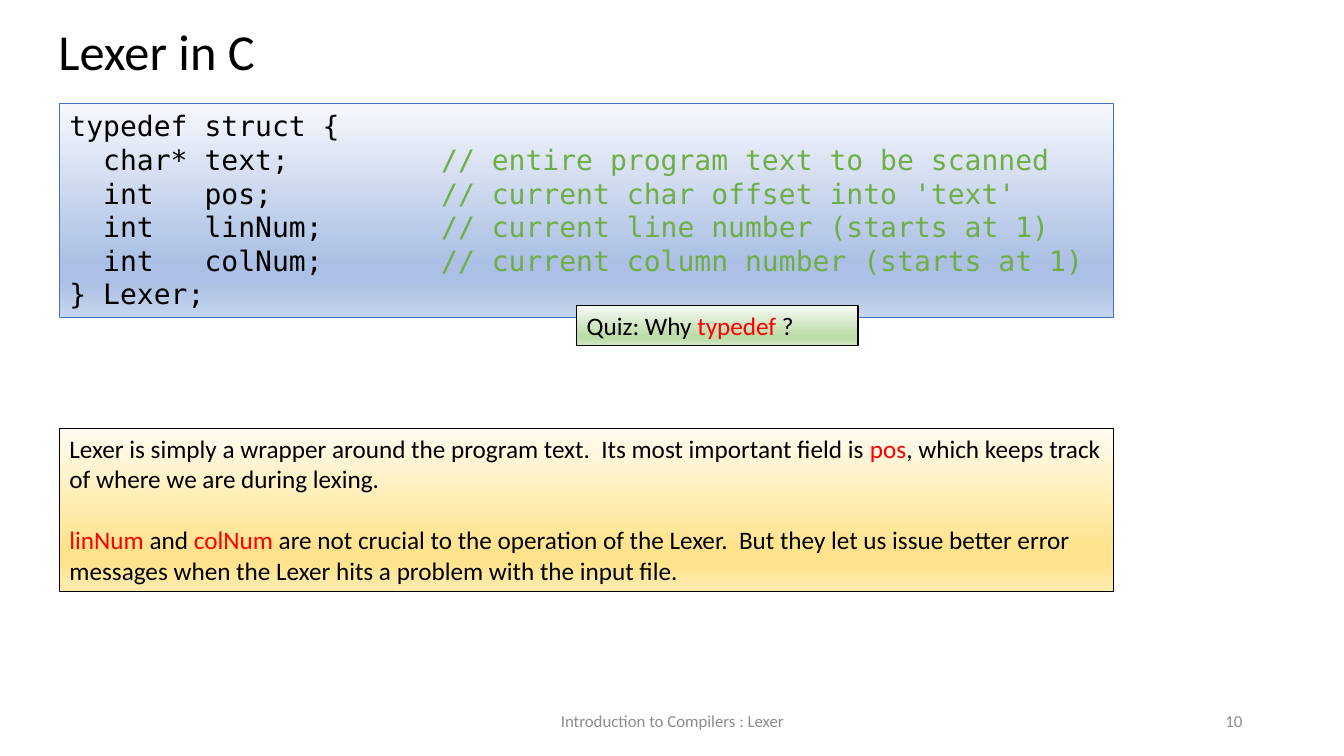
from dataclasses import dataclass

from lxml.etree import SubElement
from pptx import Presentation
from pptx.dml.color import RGBColor
from pptx.enum.shapes import MSO_SHAPE as Shape
from pptx.enum.text import MSO_ANCHOR as Anchor, MSO_AUTO_SIZE as AutoSize, PP_ALIGN as Align
from pptx.oxml.ns import qn
from pptx.util import Inches, Pt


@dataclass(frozen=True)
class Theme:
    body_font: str = "Calibri"
    code_font: str = "DejaVu Sans Mono"
    title_size: int = 36
    code_size: int = 20
    body_size: int = 18
    footer_size: int = 12
    black: str = "000000"
    grey: str = "8C8C8C"
    red: str = "FF0000"
    comment: str = "70AD47"
    code_line: str = "4472C4"
    # Gradient colours from top to bottom: light, full, soft
    blue: tuple = ("F6F8FC", "ABC0E4", "C7D5ED")
    green: tuple = ("F8FBF6", "BEDCAA", "D4E8C6")
    yellow: tuple = ("FFFCF2", "FFE38C", "FFECB2")


THEME = Theme()

FIELDS = [
    ("char* text;", "entire program text to be scanned"),
    ("int   pos;", "current char offset into 'text'"),
    ("int   linNum;", "current line number (starts at 1)"),
    ("int   colNum;", "current column number (starts at 1)"),
]
COMMENT_COLUMN = 20


def write_paragraphs(text_frame, paragraphs, font_name, size):
    """Fill a frame; each paragraph is a list of (text, colour) runs."""
    for index, runs in enumerate(paragraphs):
        paragraph = text_frame.add_paragraph() if index else text_frame.paragraphs[0]
        paragraph.alignment = Align.LEFT
        for text, colour in runs:
            run = paragraph.add_run()
            run.text = text
            run.font.name = font_name
            run.font.size = Pt(size)
            run.font.color.rgb = RGBColor.from_string(colour)


def add_label(slide, box, text, size, colour, alignment=Align.LEFT):
    label = slide.shapes.add_textbox(*map(Inches, box))
    text_frame = label.text_frame
    text_frame.word_wrap = True
    text_frame.vertical_anchor = Anchor.MIDDLE
    write_paragraphs(text_frame, [[(text, colour)]], THEME.body_font, size)
    text_frame.paragraphs[0].alignment = alignment
    return text_frame


def fill_gradient(shape, colours):
    light, full, soft = colours
    shape.fill.gradient()
    shape.fill.gradient_angle = 270
    stops = shape._element.spPr.find(qn("a:gradFill")).find(qn("a:gsLst"))
    for stop in list(stops):
        stops.remove(stop)
    for percent, colour in ((0, light), (74, full), (83, full), (100, soft)):
        stop = SubElement(stops, qn("a:gs"), pos=str(percent * 1000))
        SubElement(stop, qn("a:srgbClr"), val=colour)


def add_panel(slide, box, colours, line_colour, paragraphs, font_name, size):
    panel = slide.shapes.add_shape(Shape.RECTANGLE, *map(Inches, box))
    panel.shadow.inherit = False
    fill_gradient(panel, colours)
    panel.line.color.rgb = RGBColor.from_string(line_colour)
    panel.line.width = Pt(0.75)
    text_frame = panel.text_frame
    text_frame.word_wrap = True
    text_frame.auto_size = AutoSize.SHAPE_TO_FIT_TEXT
    text_frame.vertical_anchor = Anchor.TOP
    write_paragraphs(text_frame, paragraphs, font_name, size)
    return text_frame


def struct_lines():
    fields = [
        [(f"  {declaration:<{COMMENT_COLUMN}}", THEME.black), (f"// {note}", THEME.comment)]
        for declaration, note in FIELDS
    ]
    return [[("typedef struct {", THEME.black)], *fields, [("} Lexer;", THEME.black)]]


def main():
    presentation = Presentation()
    presentation.slide_width = Inches(13.33)
    presentation.slide_height = Inches(7.5)
    slide = presentation.slides.add_slide(presentation.slide_layouts[6])
    black, red = THEME.black, THEME.red

    # Title
    title = add_label(slide, (0.45, 0.2, 11.5, 0.68), "Lexer in C", THEME.title_size, black)
    title.margin_left = title.margin_right = Inches(0.13)
    title.margin_top = title.margin_bottom = Inches(0.07)
    title.paragraphs[0].line_spacing = 0.9

    # Struct definition
    add_panel(slide, (0.59, 1.03, 10.45, 2.12), THEME.blue, THEME.code_line,
              struct_lines(), THEME.code_font, THEME.code_size)

    # Quiz
    quiz = [[("Quiz: Why ", black), ("typedef ", red), ("?", black)]]
    add_panel(slide, (5.72, 3.03, 2.79, 0.4), THEME.green, black,
              quiz, THEME.body_font, THEME.body_size)

    # Explanation
    explanation = [
        [("Lexer is simply a wrapper around the program text.  Its most important field is ", black),
         ("pos", red),
         (", which keeps track of where we are during lexing.", black)],
        [("linNum ", red), ("and ", black), ("colNum ", red),
         ("are not crucial to the operation of the Lexer.  But they let us issue better error "
          "messages when the Lexer hits a problem with the input file.", black)],
    ]
    text_frame = add_panel(slide, (0.59, 4.25, 10.45, 1.62), THEME.yellow, black,
                           explanation, THEME.body_font, THEME.body_size)
    text_frame.paragraphs[1].space_before = Pt(22)

    # Footer
    add_label(slide, (4.42, 6.95, 4.5, 0.4), "Introduction to Compilers : Lexer",
              THEME.footer_size, THEME.grey, Align.CENTER)
    add_label(slide, (9.42, 6.95, 3, 0.4), "10", THEME.footer_size, THEME.grey, Align.RIGHT)

    presentation.save("out.pptx")


if __name__ == "__main__":
    main()
